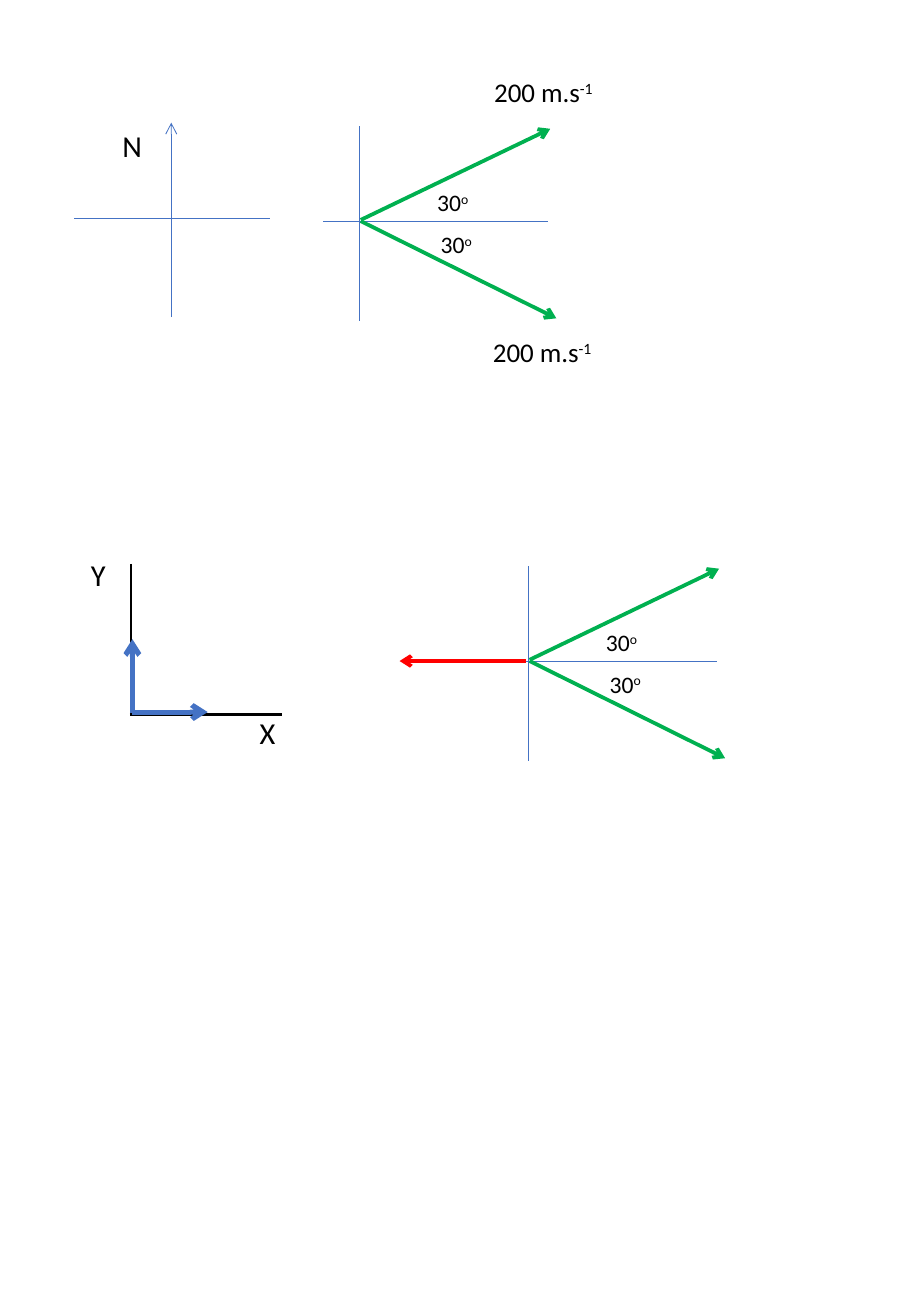
"""Draw the velocity vector diagrams with their compass and unit axes."""
from dataclasses import dataclass

from lxml import etree
from pptx import Presentation
from pptx.dml.color import RGBColor
from pptx.enum.shapes import MSO_CONNECTOR
from pptx.enum.text import MSO_AUTO_SIZE
from pptx.oxml.ns import qn
from pptx.shapes.shapetree import GroupShapes, SlideShapes
from pptx.util import Inches, Pt

STRAIGHT = MSO_CONNECTOR.STRAIGHT
FIT_SHAPE = MSO_AUTO_SIZE.SHAPE_TO_FIT_TEXT
BLANK_LAYOUT = 6

BLUE = RGBColor(0x44, 0x72, 0xC4)
GREEN = RGBColor(0x00, 0xB0, 0x50)
RED = RGBColor(0xFF, 0x00, 0x00)
BLACK = RGBColor(0x00, 0x00, 0x00)
FONT = "Calibri"

Shapes = SlideShapes | GroupShapes


@dataclass(frozen=True)
class Segment:
    """A straight line in inches, with an arrowhead at its end if asked."""
    x1: float
    y1: float
    x2: float
    y2: float
    color: RGBColor = BLUE
    weight: float = 0.5
    arrow: bool = False


@dataclass(frozen=True)
class Label:
    """A text with an optional superscript, placed in inches."""
    x: float
    y: float
    width: float
    height: float
    text: str
    size: int
    superscript: str = ""


VECTOR_LINES = (
    Segment(0, -0.78, 0, 0.82),
    Segment(-0.3, 0, 1.55, 0),
    Segment(0.01, -0.01, 1.57, -0.76, GREEN, 2.25, True),
    Segment(0.01, 0, 1.62, 0.8, GREEN, 2.25, True),
)
ANGLE_LABELS = (
    Label(0.54, -0.32, 0.47, 0.34, "30", 14, "o"),
    Label(0.57, 0.02, 0.47, 0.34, "30", 14, "o"),
)
VECTOR_ORIGINS = ((2.96, 1.82), (4.35, 5.44))

SPEED_LABELS = (
    Label(3.97, 0.57, 1.04, 0.37, "200 m.s", 16, "-1"),
    Label(3.96, 2.71, 1.04, 0.37, "200 m.s", 16, "-1"),
)
COMPASS_LINES = (
    Segment(1.41, 2.61, 1.41, 1.01, arrow=True),
    Segment(2.22, 1.8, 0.61, 1.8),
)
NORTH_LABEL = Label(0.91, 1, 0.36, 0.4, "N", 18)

AXIS_LINES = (
    Segment(1.08, 4.64, 1.08, 5.89, BLACK, 1.5),
    Segment(1.07, 5.88, 2.32, 5.88, BLACK, 1.5),
    Segment(1.09, 5.86, 1.71, 5.86, BLUE, 3, True),
    Segment(1.09, 5.87, 1.09, 5.26, BLUE, 3, True),
)
AXIS_LABELS = (
    Label(0.65, 4.53, 0.32, 0.4, "Y", 18),
    Label(2.04, 5.83, 0.33, 0.4, "X", 18),
)
OPPOSING_VECTOR = Segment(4.33, 5.44, 3.29, 5.44, RED, 2.25, True)


def draw_segment(shapes: Shapes, segment: Segment, x: float = 0, y: float = 0) -> None:
    """Draw a segment shifted by x and y."""
    connector = shapes.add_connector(
        STRAIGHT,
        Inches(x + segment.x1), Inches(y + segment.y1),
        Inches(x + segment.x2), Inches(y + segment.y2),
    )
    connector.line.color.rgb = segment.color
    connector.line.width = Pt(segment.weight)
    if segment.arrow:
        outline = connector.line._get_or_add_ln()
        etree.SubElement(outline, qn("a:tailEnd"), type="arrow")
    etree.SubElement(connector._element.spPr, qn("a:effectLst"))


def draw_label(shapes: Shapes, label: Label, x: float = 0, y: float = 0) -> None:
    """Write a label shifted by x and y."""
    box = shapes.add_textbox(
        Inches(x + label.x), Inches(y + label.y),
        Inches(label.width), Inches(label.height),
    )
    frame = box.text_frame
    frame.word_wrap = False
    frame.auto_size = FIT_SHAPE
    for text, baseline in ((label.text, 0), (label.superscript, 30000)):
        if not text:
            continue
        run = frame.paragraphs[0].add_run()
        run.text = text
        run.font.name = FONT
        run.font.size = Pt(label.size)
        run.font.color.rgb = BLACK
        if baseline:
            run._r.get_or_add_rPr().set("baseline", str(baseline))


def draw_diagram(shapes: Shapes, segments: tuple[Segment, ...],
                 labels: tuple[Label, ...], x: float = 0, y: float = 0) -> None:
    """Draw segments and then labels around a common origin."""
    for segment in segments:
        draw_segment(shapes, segment, x, y)
    for label in labels:
        draw_label(shapes, label, x, y)


def main() -> None:
    """Build and save the slide."""
    presentation = Presentation()
    presentation.slide_width = Inches(7.5)
    presentation.slide_height = Inches(10.83)
    slide = presentation.slides.add_slide(presentation.slide_layouts[BLANK_LAYOUT])
    shapes = slide.shapes

    for origin_x, origin_y in VECTOR_ORIGINS:
        draw_diagram(shapes, VECTOR_LINES, ANGLE_LABELS, origin_x, origin_y)
    draw_diagram(shapes, COMPASS_LINES, (NORTH_LABEL, *SPEED_LABELS))
    unit_axes = shapes.add_group_shape()
    draw_diagram(unit_axes.shapes, AXIS_LINES, AXIS_LABELS)
    draw_segment(shapes, OPPOSING_VECTOR)

    presentation.save("out.pptx")


if __name__ == "__main__":
    main()
